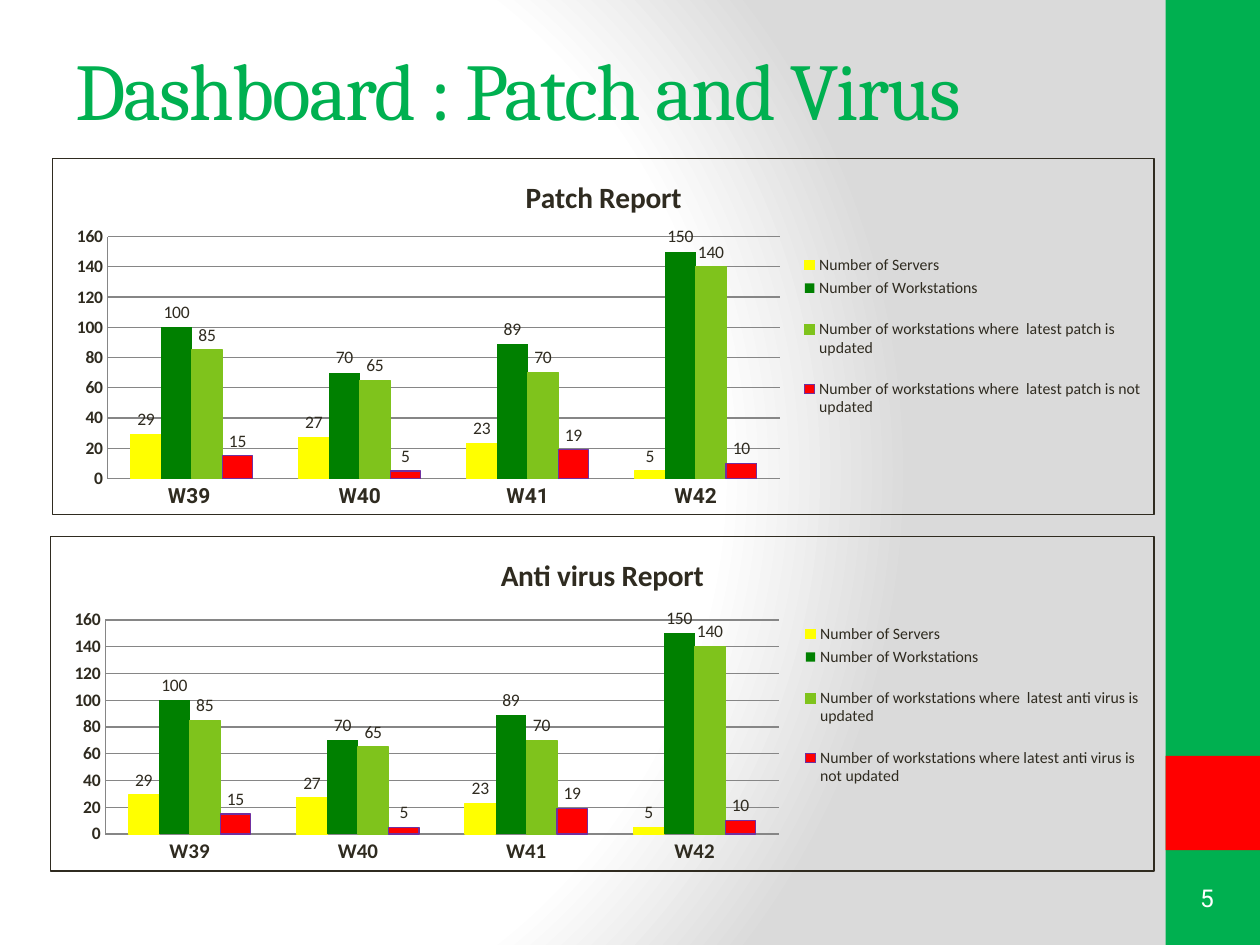
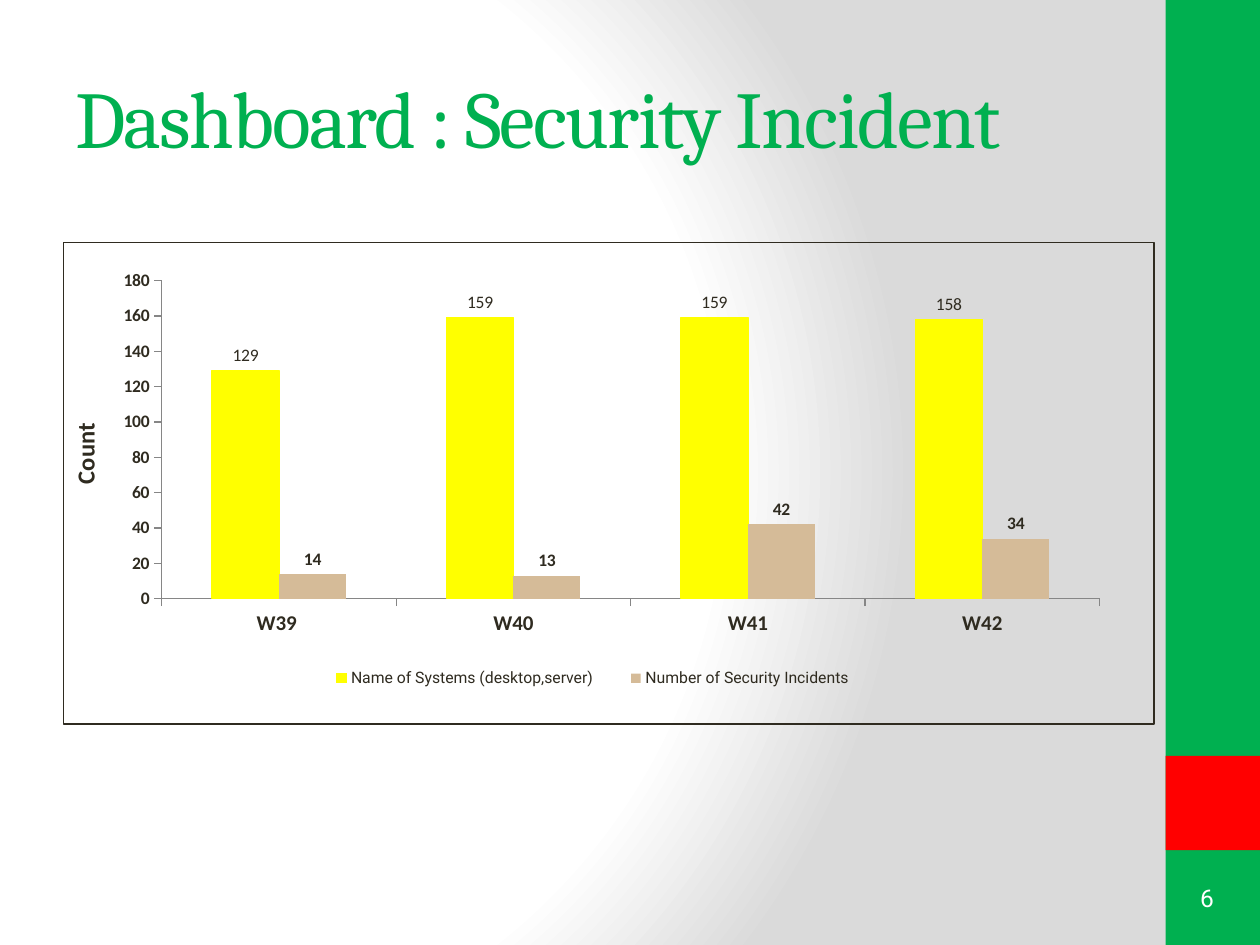
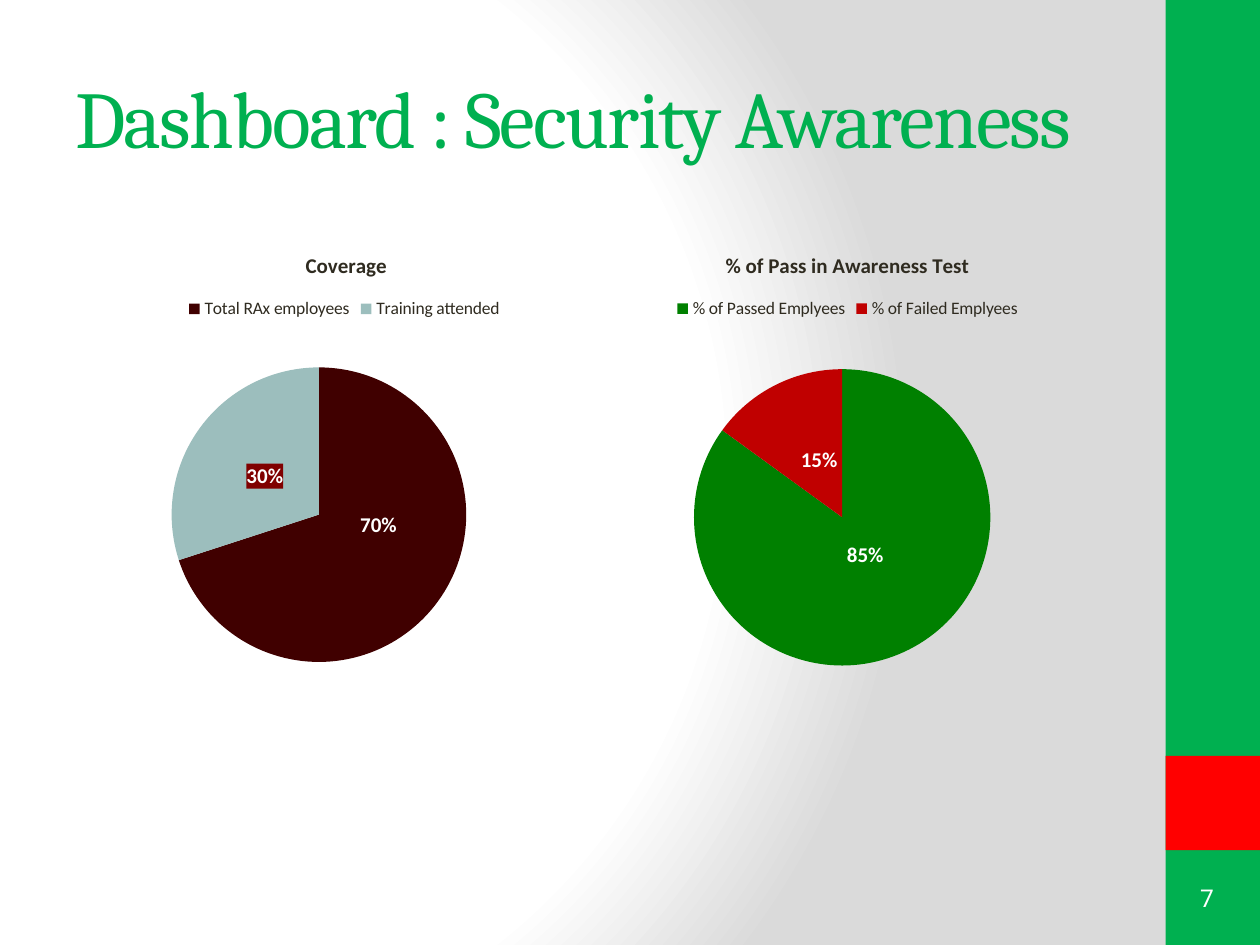
import pptx
import pptx.chart.data
import pptx.dml.color
import pptx.enum.chart
import pptx.enum.shapes
import pptx.enum.text
import pptx.oxml
import pptx.oxml.ns
import pptx.util

Cm = pptx.util.Cm
Pt = pptx.util.Pt
ChartType = pptx.enum.chart.XL_CHART_TYPE
LegendPosition = pptx.enum.chart.XL_LEGEND_POSITION
LabelPosition = pptx.enum.chart.XL_LABEL_POSITION
TickMark = pptx.enum.chart.XL_TICK_MARK

GREEN, RED, WHITE, INK = "00B050", "FF0000", "FFFFFF", "2F2B20"
YELLOW, DARK_GREEN, LIME, PURPLE = "FFFF00", "008000", "7FC31C", "7030A0"
TAN, MAROON, TEAL, CRIMSON = "D5BB98", "400000", "9CBEBD", "C00000"
LABEL_RED, GREY, SHADE = "800000", "868686", "DADADA"
BODY, HEADING, CHART = "Roboto", "Cambria", "Calibri"

SLIDE_WIDTH, SLIDE_HEIGHT = 25.4, 19.05
BAND_WIDTH = 1.9
FIRST_NUMBER = 5
WEEKS = ["W39", "W40", "W41", "W42"]
WEEKS_SPACED = ["W39 "] + WEEKS[1:]


def color(value):
    """Turn a hex string into a colour."""
    return pptx.dml.color.RGBColor.from_string(value)


def set_values(target, **values):
    """Set each given attribute on an object."""
    for name, value in values.items():
        setattr(target, name, value)


def format_font(font, size, name=None, bold=None, ink=None):
    """Set the size and any other given features of a font."""
    values = {"size": Pt(size), "name": name, "bold": bold}
    set_values(font, **{key: value for key, value in values.items() if value is not None})
    if ink:
        font.color.rgb = color(ink)


def xml(text):
    """Parse chart or drawing XML, adding the namespaces to its root."""
    head, tail = text.split(">", 1)
    closing = "/" if head.endswith("/") else ""
    names = pptx.oxml.ns.nsdecls("a", "c")
    return pptx.oxml.parse_xml(f"{head.rstrip('/')} {names}{closing}>{tail}")


def cm_box(box):
    """Turn left, top, width and height in centimetres into lengths."""
    return [Cm(value) for value in box]


def set_background(master):
    """Give every slide the white to grey circular gradient."""
    master.background.fill.solid()
    stops = "".join(
        f'<a:gs pos="{position}"><a:srgbClr val="{value}"/></a:gs>'
        for position, value in ((0, WHITE), (75000, WHITE), (100000, SHADE)))
    gradient = xml(
        f'<a:gradFill rotWithShape="1"><a:gsLst>{stops}</a:gsLst><a:path path="circle">'
        '<a:fillToRect l="20000" t="50000" r="100000" b="50000"/></a:path></a:gradFill>')
    solid = master.element.xpath(".//p:bgPr/a:solidFill")[0]
    solid.getparent().replace(solid, gradient)


def add_text(slide, box, text, align, inset=None, **font):
    """Add a middle-anchored line of text and return its run."""
    frame = slide.shapes.add_textbox(*cm_box(box)).text_frame
    set_values(frame, word_wrap=True, vertical_anchor=pptx.enum.text.MSO_ANCHOR.MIDDLE)
    if inset is not None:
        for side in ("left", "top", "right", "bottom"):
            setattr(frame, f"margin_{side}", Cm(inset))
    paragraph = frame.paragraphs[0]
    paragraph.alignment = align
    run = paragraph.add_run()
    run.text = text
    format_font(run.font, **font)
    return run


def add_side_band(slide, box, number):
    """Add the green band with its red square and the slide number."""
    left, top, width, height = box
    square_top = top + height * 0.8
    for part, fill in ((box, GREEN), ((left, square_top, width, width), RED)):
        shape = slide.shapes.add_shape(pptx.enum.shapes.MSO_SHAPE.RECTANGLE, *cm_box(part))
        shape.shadow.inherit = False
        shape.fill.solid()
        shape.fill.fore_color.rgb = color(fill)
        shape.line.fill.background()
    add_text(slide, (left + 0.2, top + height - 1.48, 1.27, 1.05), str(number),
             pptx.enum.text.PP_ALIGN.CENTER, inset=0, size=14, name=BODY, ink=WHITE)


def add_slide(presentation, title, top=0.76, width=21.17):
    """Add a slide with its title and side band."""
    slide = presentation.slides.add_slide(presentation.slide_layouts[6])
    number = FIRST_NUMBER + len(presentation.slides) - 1
    add_side_band(slide, (SLIDE_WIDTH - BAND_WIDTH, 0, BAND_WIDTH, SLIDE_HEIGHT), number)
    run = add_text(slide, (1.27, top, width, 3.18), title, pptx.enum.text.PP_ALIGN.LEFT,
                   size=46, name=HEADING, ink=GREEN)
    run.font._element.set("spc", "-100")
    return slide


def set_layout(parent, index, values, inner=False, offset=False):
    """Place a chart part by fractions of the chart, or shift it from its default place."""
    for old in parent.xpath("./c:layout"):
        parent.remove(old)
    parts = ['<c:layoutTarget val="inner"/>'] if inner else []
    if not offset:
        parts += ['<c:xMode val="edge"/>', '<c:yMode val="edge"/>']
    parts += [f'<c:{key} val="{value}"/>' for key, value in zip("xywh", values)]
    parent.insert(index, xml(
        f"<c:layout><c:manualLayout>{''.join(parts)}</c:manualLayout></c:layout>"))


def add_chart(slide, box, kind, categories, series, font, title, plot_area, legend):
    """Add a chart with its title, plot area and legend."""
    data = pptx.chart.data.CategoryChartData()
    data.categories = categories
    for name, values in series:
        data.add_series(name, values)
    chart = slide.shapes.add_chart(kind, *cm_box(box), data).chart
    format_font(chart.font, ink=INK, **font)
    chart.has_title = title is not None
    if title:
        text, size = title
        frame = chart.chart_title.text_frame
        frame.text = text
        format_font(frame.paragraphs[0].runs[0].font, size, CHART, True, INK)
        chart.chart_title.include_in_layout = False
    set_layout(chart.element.xpath(".//c:plotArea")[0], 0, plot_area, inner=True)
    position, legend_font, legend_area = legend
    chart.has_legend = True
    set_values(chart.legend, position=position, include_in_layout=False)
    format_font(chart.legend.font, **legend_font)
    if legend_area:
        set_layout(chart.element.xpath(".//c:legend")[0], 1, legend_area)
    return chart


def set_frame(chart, line):
    """Leave the chart unfilled and draw its outline, if it has a colour."""
    fill = f'<a:solidFill><a:srgbClr val="{line}"/></a:solidFill>' if line else "<a:noFill/>"
    chart.element.xpath("./c:txPr")[0].addprevious(
        xml(f'<c:spPr><a:noFill/><a:ln w="9525">{fill}</a:ln></c:spPr>'))


def add_column_chart(slide, box, categories, series, top_value, tick, grid, plot_area, legend,
                     title=None, axis_title=None, category_font=CHART):
    """Add a framed column chart; a series is name, values, fill, line and bold labels."""
    chart = add_chart(slide, box, ChartType.COLUMN_CLUSTERED, categories,
                      [item[:2] for item in series], {"size": 14, "name": BODY},
                      title, plot_area, legend)
    set_frame(chart, INK)
    for axis, size, name in ((chart.category_axis, 12, category_font),
                             (chart.value_axis, 10, CHART)):
        set_values(axis, major_tick_mark=tick, minor_tick_mark=TickMark.NONE)
        format_font(axis.tick_labels.font, size, name, True)
        axis.format.line.color.rgb = color(GREY)
    axis = chart.value_axis
    set_values(axis, minimum_scale=0, maximum_scale=top_value, major_unit=20,
               has_major_gridlines=grid)
    if grid:
        axis.major_gridlines.format.line.color.rgb = color(GREY)
    if axis_title:
        frame = axis.axis_title.text_frame
        frame.text = axis_title
        format_font(frame.paragraphs[0].runs[0].font, 14, CHART, True, INK)
    plot = chart.plots[0]
    set_values(plot, gap_width=150, overlap=0, vary_by_categories=False)
    for column, (_, _, fill, line, bold) in zip(plot.series, series):
        column.format.fill.solid()
        column.format.fill.fore_color.rgb = color(fill)
        if line:
            column.format.line.color.rgb = color(line)
            column.format.line.width = Pt(0.75)
        else:
            column.format.line.fill.background()
        labels = column.data_labels
        set_values(labels, show_value=True, position=LabelPosition.OUTSIDE_END)
        format_font(labels.font, 10, CHART, bold, INK)


def add_update_chart(slide, box, title, names, plot_area, legend_area, **options):
    """Add a weekly chart of servers, workstations and their update state."""
    values = [(29, 27, 23, 5), (100, 70, 89, 150), (85, 65, 70, 140), (15, 5, 19, 10)]
    fills = [YELLOW, DARK_GREEN, LIME, RED]
    lines = [YELLOW, None, LIME, PURPLE]
    all_names = ["Number of Servers", "Number of Workstations\n"] + names
    series = [(*item, False) for item in zip(all_names, values, fills, lines)]
    legend = (LegendPosition.RIGHT, {"size": 9, "name": CHART}, legend_area)
    add_column_chart(slide, box, series=series, top_value=160, tick=TickMark.NONE, grid=True,
                     plot_area=plot_area, legend=legend, title=(title, 16.8), **options)


def add_pie_chart(slide, box, title, name, slices, plot_area):
    """Add a pie; a slice is category, value, fill, label offset and label fill."""
    legend = (LegendPosition.TOP, {"size": 10}, None)
    chart = add_chart(slide, box, ChartType.PIE, [item[0] for item in slices],
                      [(name, [item[1] for item in slices])], {"size": 18, "name": CHART},
                      (title, 12), plot_area, legend)
    set_frame(chart, None)
    plot = chart.plots[0]
    plot.vary_by_categories = True
    pie = plot.series[0]
    set_values(pie.data_labels, show_percentage=True, show_value=False,
               number_format="0%", number_format_is_linked=False)
    format_font(pie.data_labels.font, 12, CHART, True, WHITE)
    for index, (_, _, fill, offset, label_fill) in enumerate(slices):
        point = pie.points[index]
        point.format.fill.solid()
        point.format.fill.fore_color.rgb = color(fill)
        point.format.line.fill.background()
        point.data_label.position = LabelPosition.CENTER
        format_font(point.data_label.font, 12, CHART, True, WHITE)
        label = chart.element.xpath(f".//c:dLbl[c:idx/@val='{index}']")[0]
        for flag, shown in (("showVal", "0"), ("showPercent", "1")):
            label.xpath(f"./c:{flag}")[0].set("val", shown)
        set_layout(label, 1, offset, offset=True)
        if label_fill:
            label.xpath("./c:txPr")[0].addprevious(xml(
                f'<c:spPr><a:solidFill><a:srgbClr val="{label_fill}"/></a:solidFill></c:spPr>'))


def build_patch_slide(presentation):
    """Build the slide with the patch and anti virus reports."""
    slide = add_slide(presentation, "Dashboard : Patch and Virus", top=0.2)
    add_update_chart(
        slide, (1.05, 3.18, 22.23, 7.2), "Patch Report",
        ["Number of workstations where  latest patch is updated\n",
         "Number of workstations where  latest patch is not updated"],
        (0.05, 0.22, 0.61, 0.68), (0.68, 0.26, 0.31, 0.48),
        categories=WEEKS_SPACED, category_font=BODY)
    add_update_chart(
        slide, (1, 10.8, 22.28, 6.77), "Anti virus Report",
        ["Number of workstations where  latest anti virus is updated\n",
         "Number of workstations where latest anti virus is not updated"],
        (0.05, 0.25, 0.61, 0.64), (0.68, 0.25, 0.31, 0.51), categories=WEEKS)


def build_incident_slide(presentation):
    """Build the slide with the security incidents."""
    slide = add_slide(presentation, "Dashboard : Security Incident")
    series = [
        ("Name of Systems (desktop,server)", (129, 159, 159, 158), YELLOW, YELLOW, False),
        ("Number of Security Incidents", (14, 13, 42, 34), TAN, None, True)]
    add_column_chart(
        slide, (1.27, 4.87, 22.01, 9.74), WEEKS_SPACED, series, top_value=180,
        tick=TickMark.OUTSIDE, grid=False, plot_area=(0.09, 0.08, 0.86, 0.66),
        legend=(LegendPosition.BOTTOM, {"size": 9}, (0.22, 0.86, 0.53, 0.09)),
        axis_title="Count")


def build_awareness_slide(presentation):
    """Build the slide with the training coverage and test results."""
    slide = add_slide(presentation, "Dashboard : Security Awareness", width=22.43)
    add_pie_chart(
        slide, (1.48, 4.66, 11, 9.53), "Coverage", "Coverage",
        [("Total RAx employees", 70, MAROON, (0, -0.07), None),
         ("Training attended ", 30, TEAL, (0.01, 0.01), LABEL_RED)],
        (0.18, 0.22, 0.54, 0.76))
    add_pie_chart(
        slide, (11.75, 4.66, 10.67, 9.31), "% of Pass in Awareness Test", "Series 1",
        [("% of Passed Emplyees", 85, DARK_GREEN, (-0.02, -0.06), None),
         ("% of Failed Emplyees", 15, CRIMSON, (0.02, 0.02), None)],
        (0.21, 0.26, 0.56, 0.72))


def main():
    """Build and save the presentation."""
    presentation = pptx.Presentation()
    set_values(presentation, slide_width=Cm(SLIDE_WIDTH), slide_height=Cm(SLIDE_HEIGHT))
    set_background(presentation.slide_master)
    for build in (build_patch_slide, build_incident_slide, build_awareness_slide):
        build(presentation)
    presentation.save("out.pptx")


main()
